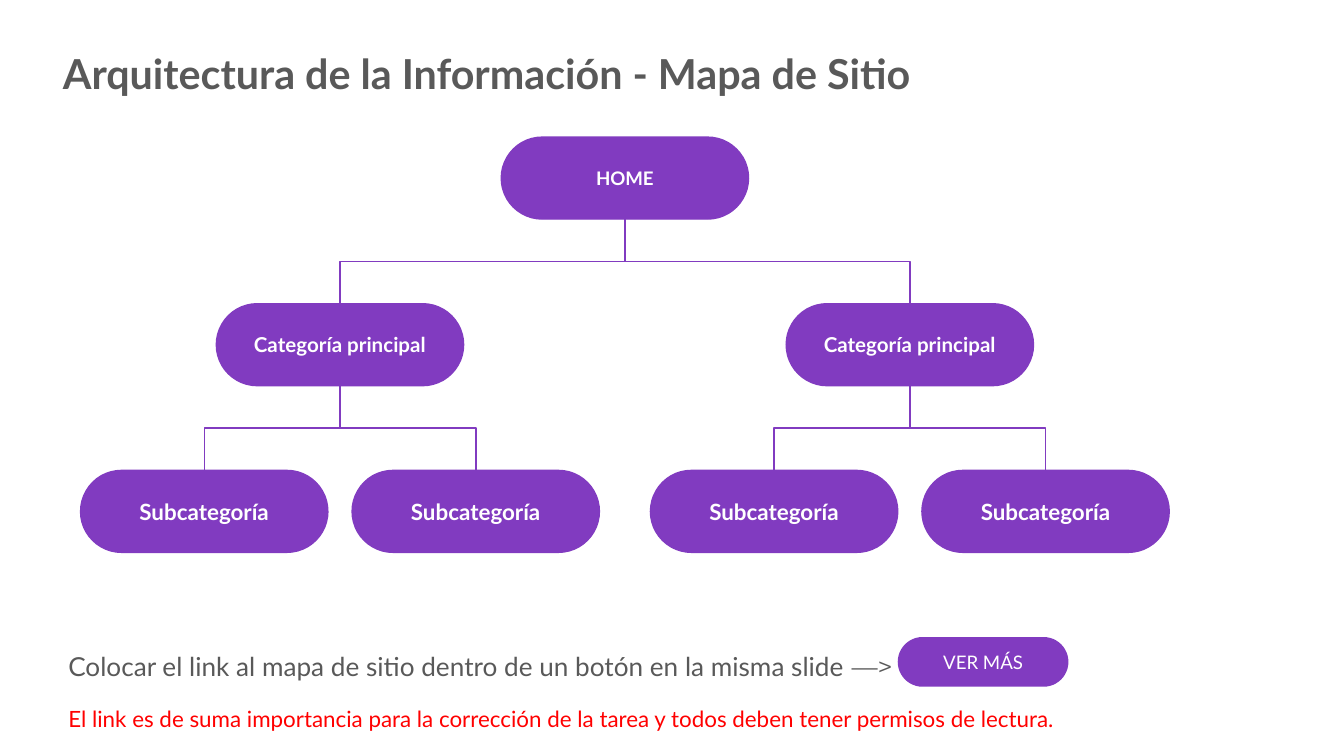
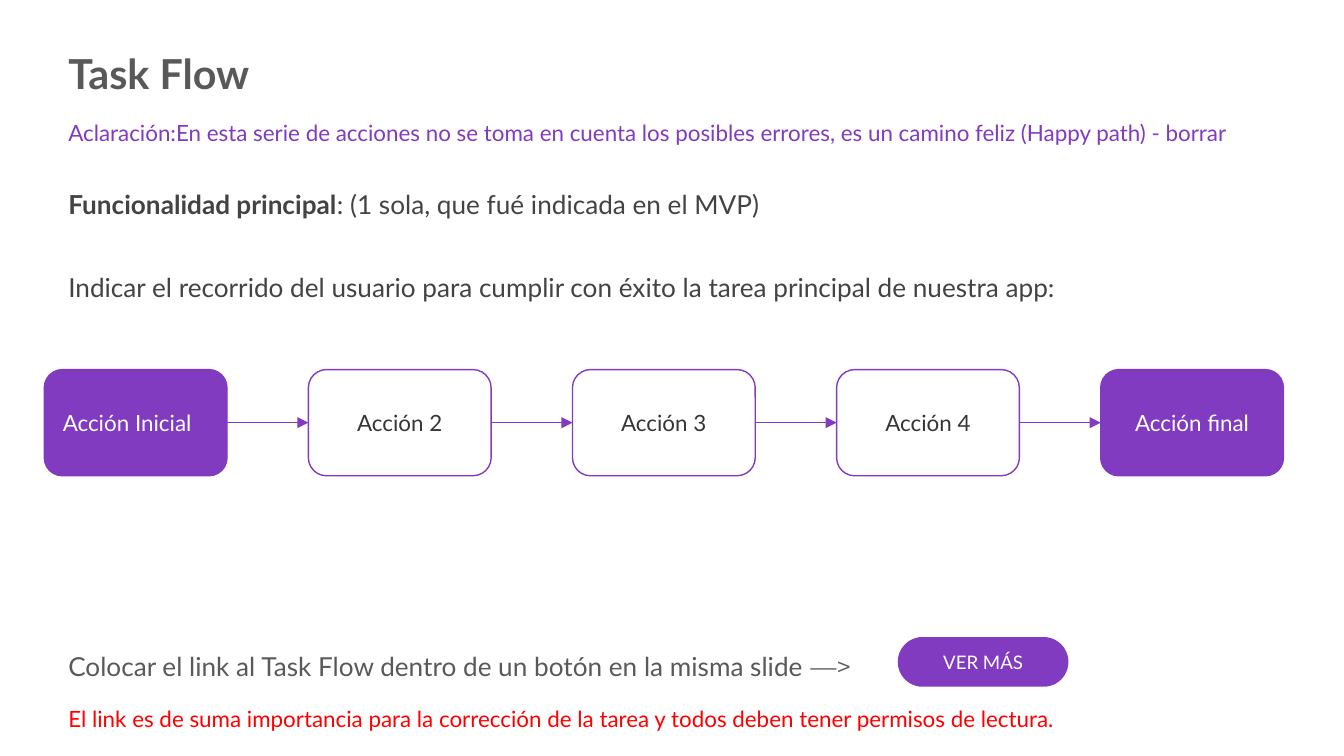
import pptx
import pptx.dml.color
import pptx.enum.shapes
import pptx.enum.text
import pptx.oxml.ns
import pptx.util
from lxml import etree

PX = 4572
INSET = 20 * PX
FONT = "Lato"
ARROW_FONT = "Montserrat"
PURPLE = pptx.dml.color.RGBColor(0x81, 0x3B, 0xC0)
WHITE = pptx.dml.color.RGBColor(0xFF, 0xFF, 0xFF)
GREY = pptx.dml.color.RGBColor(0x59, 0x59, 0x59)
DARK = pptx.dml.color.RGBColor(0x43, 0x43, 0x43)
INK = pptx.dml.color.RGBColor(0x35, 0x35, 0x35)
RED = pptx.dml.color.RGBColor(0xFF, 0x00, 0x00)
LEFT = pptx.enum.text.PP_ALIGN.LEFT
CENTER = pptx.enum.text.PP_ALIGN.CENTER
TOP = pptx.enum.text.MSO_ANCHOR.TOP
MIDDLE = pptx.enum.text.MSO_ANCHOR.MIDDLE
ELBOW = pptx.enum.shapes.MSO_CONNECTOR.ELBOW
STRAIGHT = pptx.enum.shapes.MSO_CONNECTOR.STRAIGHT
ROUNDED = pptx.enum.shapes.MSO_SHAPE.ROUNDED_RECTANGLE


def add_text(slide, box, text, size, color, bold=False, align=LEFT, anchor=TOP,
             fill=None, outline=None, corner=0.5):
    place = [v * PX for v in box]
    if fill is None:
        shape = slide.shapes.add_textbox(*place)
    else:
        shape = slide.shapes.add_shape(ROUNDED, *place)
        shape.shadow.inherit = False
        shape.adjustments[0] = corner
        shape.fill.solid()
        shape.fill.fore_color.rgb = fill
        if outline is None:
            shape.line.fill.background()
        else:
            shape.line.color.rgb = outline
            shape.line.width = pptx.util.Pt(0.75)
    frame = shape.text_frame
    frame.word_wrap = True
    frame.vertical_anchor = anchor
    frame.margin_left = frame.margin_right = INSET
    frame.margin_top = frame.margin_bottom = INSET
    frame.text = text
    for paragraph in frame.paragraphs:
        paragraph.alignment = align
        paragraph.font.name = FONT
        paragraph.font.size = pptx.util.Pt(size)
        paragraph.font.bold = bold
        paragraph.font.color.rgb = color
    return shape


def connect(slide, kind, start, start_site, end, end_site):
    link = slide.shapes.add_connector(kind, 0, 0, 0, 0)
    link.begin_connect(start, start_site)
    link.end_connect(end, end_site)
    link.line.color.rgb = PURPLE
    link.line.width = pptx.util.Pt(0.75)
    etree.SubElement(link._element.spPr, pptx.oxml.ns.qn("a:effectLst"))
    return link


deck = pptx.Presentation()
deck.slide_width = 2000 * PX
deck.slide_height = 1125 * PX

site_map, task_flow = [deck.slides.add_slide(deck.slide_layouts[6]) for _ in range(2)]

for slide, title, title_left, subject in (
    (site_map, "Arquitectura de la Información - Mapa de Sitio", 74, "mapa de sitio"),
    (task_flow, "Task Flow", 82, "Task Flow"),
):
    heading = add_text(slide, (title_left, 62, 1620, 108), title, 22.1, GREY, bold=True, anchor=MIDDLE)
    heading.text_frame.paragraphs[0].line_spacing = 0.8
    instruction = add_text(slide, (82, 948, 1472, 108),
                           f"Colocar el link al {subject} dentro de un botón en la misma slide ", 14, GREY)
    arrow = instruction.text_frame.paragraphs[0].add_run()
    arrow.text = "—>"
    arrow.font.name = ARROW_FONT
    add_text(slide, (82, 1030, 1866, 74),
             "El link es de suma importancia para la corrección de la tarea y todos deben tener permisos de lectura.",
             12, RED)
    add_text(slide, (1336, 948, 254, 74), "VER MÁS", 10, WHITE,
             align=CENTER, anchor=MIDDLE, fill=PURPLE)

NODE_W, NODE_H = 368, 122
HOME_X, HOME_Y, LEVEL_STEP = 930, 204, 248
home = add_text(site_map, (HOME_X - NODE_W // 2, HOME_Y, NODE_W, NODE_H), "HOME", 10, WHITE,
                bold=True, align=CENTER, anchor=MIDDLE, fill=PURPLE, outline=PURPLE)
parents = [(home, HOME_X)]
for level, (label, size, spread) in enumerate(
    (("Categoría principal", 11, 424), ("Subcategoría", 12, 202)), 1
):
    children = []
    top = HOME_Y + level * LEVEL_STEP
    drop = LEVEL_STEP - NODE_H
    for parent, parent_x in parents:
        for side in (-1, 1):
            x = parent_x + side * spread
            node = add_text(site_map, (x - NODE_W // 2, top, NODE_W, NODE_H), label, size, WHITE,
                            bold=True, align=CENTER, anchor=MIDDLE, fill=PURPLE, outline=PURPLE)
            branch = connect(site_map, ELBOW, parent, 2, node, 0)
            branch.left = ((parent_x + x) // 2 - drop // 2) * PX
            branch.top = (top - drop // 2 - spread // 2) * PX
            branch.width, branch.height = drop * PX, spread * PX
            frame = branch._element.spPr.xfrm
            frame.set("rot", "16200000" if side > 0 else "5400000")
            frame.set("flipH", "1" if side > 0 else "0")
            children.append((node, x))
    parents = children

add_text(task_flow, (82, 158, 1844, 108),
         "Aclaración:En esta serie de acciones no se toma en cuenta los posibles errores, "
         "es un camino feliz (Happy path) - borrar", 12, PURPLE)
brief = add_text(task_flow, (82, 254, 1844, 226),
                 "Funcionalidad principal\n"
                 "Indicar el recorrido del usuario para cumplir con éxito la tarea principal de nuestra app:",
                 14, DARK)
feature, journey = brief.text_frame.paragraphs
feature.runs[0].font.bold = True
feature.add_run().text = ": (1 sola, que fué indicada en el MVP)"
feature.line_spacing = journey.line_spacing = 1.15
journey.space_before = pptx.util.Pt(25)
journey.space_after = pptx.util.Pt(6)

previous = None
for i, (label, fill, color, align) in enumerate((
    ("Acción Inicial", PURPLE, WHITE, LEFT),
    ("Acción 2", WHITE, INK, CENTER),
    ("Acción 3", WHITE, INK, CENTER),
    ("Acción 4", WHITE, INK, CENTER),
    ("Acción final", PURPLE, WHITE, CENTER),
)):
    action = add_text(task_flow, (66 + 393 * i, 550, 272, 158), label, 12, color,
                      align=align, anchor=MIDDLE, fill=fill, outline=PURPLE, corner=0.17)
    if previous is not None:
        step = connect(task_flow, STRAIGHT, previous, 3, action, 1)
        etree.SubElement(step.line._get_or_add_ln(), pptx.oxml.ns.qn("a:tailEnd"), type="triangle")
    previous = action

deck.save("out.pptx")
